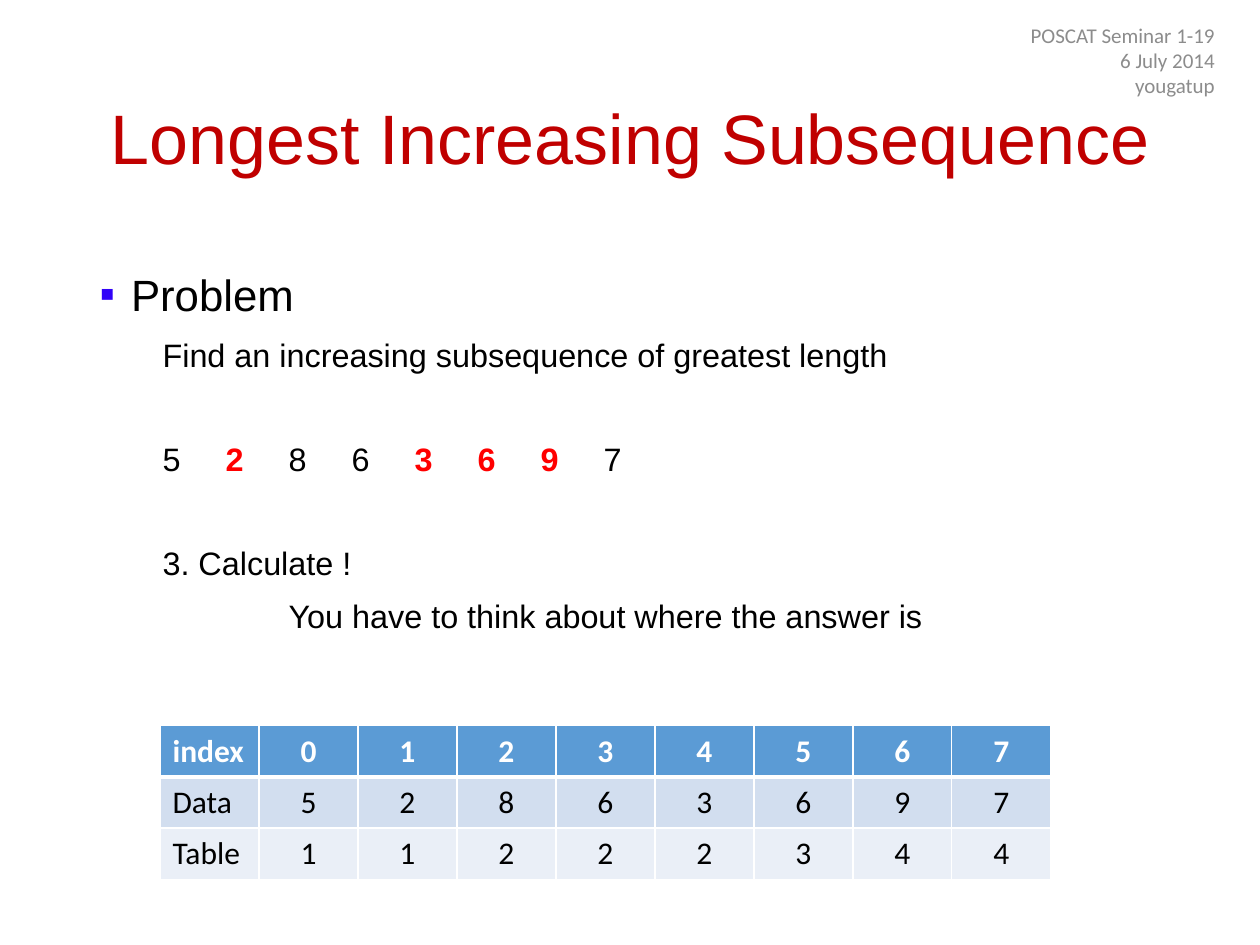
from dataclasses import dataclass

from lxml import etree
from pptx import Presentation
from pptx.dml.color import RGBColor
from pptx.enum.text import MSO_ANCHOR, MSO_AUTO_SIZE, PP_ALIGN
from pptx.oxml.ns import qn
from pptx.util import Inches, Pt

LEFT, CENTER, RIGHT = PP_ALIGN.LEFT, PP_ALIGN.CENTER, PP_ALIGN.RIGHT
MIDDLE = MSO_ANCHOR.MIDDLE
NO_FIT = MSO_AUTO_SIZE.NONE

BLACK, WHITE, RED = "000000", "FFFFFF", "FF0000"
SEQUENCE = [5, 2, 8, 6, 3, 6, 9, 7]
LENGTHS = [1, 1, 2, 2, 2, 3, 4, 4]
ANSWER_POSITIONS = {1, 4, 5, 6}
FIRST_TAB, TAB_STEP = 2.5, 0.5


@dataclass
class BodyLine:
    text: str
    margin: float
    space_before: float
    size: float = 18.5
    level: int = 1
    bullet: str = ""


@dataclass
class TableRow:
    label: str
    values: list[int]
    fill: str
    color: str = BLACK
    bold: bool = False
    bottom_border: float = 1


BODY_LINES = [
    BodyLine("Problem", 0.25, 0, size=25, level=0, bullet="▪"),
    BodyLine("Find an increasing subsequence of greatest length", 0.5, 6.5),
    BodyLine("", 0, 35),
    BodyLine("3. Calculate !", 0.5, 35),
    BodyLine("You have to think about where the answer is", 1.5, 6),
]
SEQUENCE_LINE = 2

TABLE_ROWS = [
    TableRow("index", list(range(len(SEQUENCE))), "5B9BD5", WHITE, True, 3),
    TableRow("Data", SEQUENCE, "D2DEEF"),
    TableRow("Table", LENGTHS, "EAEFF7"),
]


def rgb(color: str) -> RGBColor:
    return RGBColor.from_string(color)


def set_font(target, name: str, size: float, color: str, bold: bool = False) -> None:
    target.font.name = name
    target.font.size = Pt(size)
    target.font.color.rgb = rgb(color)
    target.font.bold = bold


def place(shape, left: float, top: float, width: float, height: float) -> None:
    shape.left, shape.top = Inches(left), Inches(top)
    shape.width, shape.height = Inches(width), Inches(height)


def add_child(parent, tag: str, **attributes):
    return etree.SubElement(parent, qn(tag), attributes)


def set_bullet(properties, bullet: str) -> None:
    if bullet:
        color = add_child(properties, "a:buClr")
        add_child(color, "a:srgbClr", val="3102F8")
        add_child(properties, "a:buFont", typeface="Arial")
        add_child(properties, "a:buChar", char=bullet)
    else:
        add_child(properties, "a:buNone")


def add_sequence(paragraph) -> None:
    """Set the numbers on equal tab stops, with the answer in bold red."""
    tabs = add_child(paragraph._p.get_or_add_pPr(), "a:tabLst")
    for index, number in enumerate(SEQUENCE):
        position = Inches(FIRST_TAB + index * TAB_STEP)
        add_child(tabs, "a:tab", pos=str(position), algn="l")
        span = paragraph.add_run()
        span.text = f"\t{number}"
        if index in ANSWER_POSITIONS:
            span.font.bold = True
            span.font.color.rgb = rgb(RED)


def fill_body(box) -> None:
    frame = box.text_frame
    frame.word_wrap = True
    frame.auto_size = NO_FIT
    for index, line in enumerate(BODY_LINES):
        para = frame.add_paragraph() if index else frame.paragraphs[0]
        para.level = line.level
        para.alignment = LEFT
        para.line_spacing = 1.1
        para.space_before = Pt(line.space_before)
        properties = para._p.get_or_add_pPr()
        properties.set("marL", str(Inches(line.margin)))
        properties.set("indent", str(Inches(-line.margin if line.bullet else 0)))
        set_bullet(properties, line.bullet)
        if index == SEQUENCE_LINE:
            add_sequence(para)
        else:
            para.text = line.text
        set_font(para, "Arial", line.size, BLACK)


def set_borders(cell, bottom: float) -> None:
    properties = cell._tc.get_or_add_tcPr()
    widths = {"a:lnL": 1, "a:lnR": 1, "a:lnT": 1, "a:lnB": bottom}
    for position, (tag, width) in enumerate(widths.items()):
        border = add_child(properties, tag, w=str(Pt(width)))
        add_child(add_child(border, "a:solidFill"), "a:srgbClr", val=WHITE)
        properties.insert(position, border)


def add_length_table(page) -> None:
    columns = len(SEQUENCE) + 1
    frame = page.shapes.add_table(
        len(TABLE_ROWS), columns, Inches(1.27), Inches(5.76), Inches(7.07), Inches(1.22)
    )
    table = frame.table
    for row_index, row in enumerate(TABLE_ROWS):
        for column, value in enumerate([row.label, *row.values]):
            cell = table.cell(row_index, column)
            cell.fill.solid()
            cell.fill.fore_color.rgb = rgb(row.fill)
            above = TABLE_ROWS[row_index - 1].bottom_border if row_index else 1
            set_borders(cell, row.bottom_border)
            cell._tc.tcPr.find(qn("a:lnT")).set("w", str(Pt(above)))
            para = cell.text_frame.paragraphs[0]
            para.text = str(value)
            para.alignment = CENTER if column else LEFT
            set_font(para, "Calibri", 18, row.color, row.bold)


def add_seminar_note(page) -> None:
    box = page.shapes.add_textbox(Inches(7.49), Inches(0.2), Inches(2.25), Inches(0.55))
    frame = box.text_frame
    frame.word_wrap = True
    frame.vertical_anchor = MIDDLE
    frame.text = "POSCAT Seminar 1-19\n6 July 2014\nyougatup"
    for para in frame.paragraphs:
        para.alignment = RIGHT
        set_font(para, "Calibri", 12, "8C8C8C")


def main() -> None:
    deck = Presentation()
    deck.slide_width, deck.slide_height = Inches(10), Inches(7.5)
    page = deck.slides.add_slide(deck.slide_layouts[1])

    title = page.shapes.title
    place(title, 0.69, 0.4, 8.62, 1.45)
    title.text_frame.text = "Longest Increasing Subsequence"
    title.text_frame.vertical_anchor = MIDDLE
    title.text_frame.auto_size = NO_FIT
    heading = title.text_frame.paragraphs[0]
    heading.alignment = CENTER
    heading.line_spacing = 0.9
    set_font(heading, "Arial", 40, "C00000")

    body = page.placeholders[1]
    place(body, 0.69, 2.03, 8.95, 4.76)
    fill_body(body)
    add_seminar_note(page)
    add_length_table(page)
    deck.save("out.pptx")


if __name__ == "__main__":
    main()
